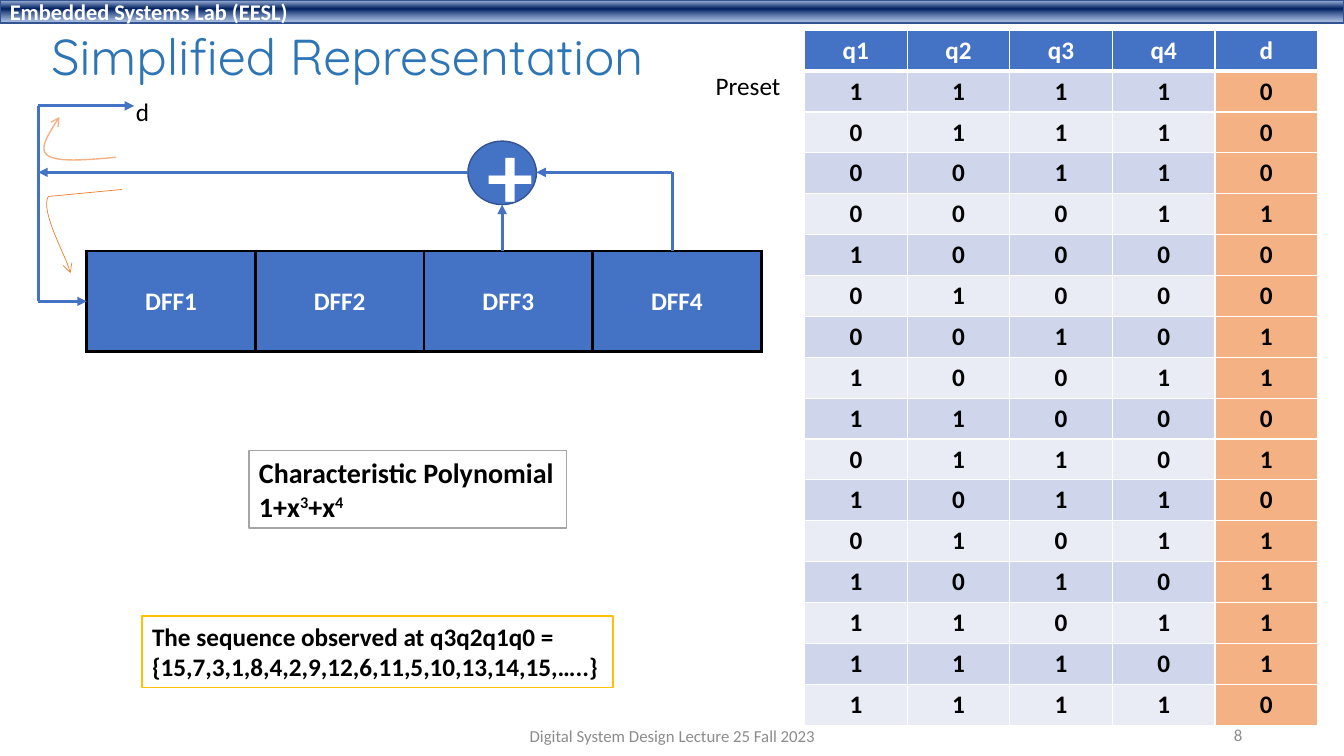
from copy import deepcopy
from dataclasses import dataclass, field
from typing import Any

from lxml import etree
from pptx import Presentation
from pptx import util as u
from pptx.dml.color import RGBColor
from pptx.enum import shapes, text
from pptx.oxml.ns import qn

WHITE = RGBColor(0xFF, 0xFF, 0xFF)
BLACK = RGBColor(0, 0, 0)
BLUE = RGBColor(0x44, 0x72, 0xC4)
EDGE_BLUE = RGBColor(0x32, 0x54, 0x91)
TITLE_BLUE = RGBColor(0x2E, 0x75, 0xB6)
GREY = RGBColor(0x8C, 0x8C, 0x8C)
SILVER = RGBColor(0xA5, 0xA5, 0xA5)
GOLD = RGBColor(0xFF, 0xC0, 0x00)
ORANGE = RGBColor(0xED, 0x7D, 0x31)
PEACH = RGBColor(0xF4, 0xB1, 0x83)
BANDS = (RGBColor(0xCF, 0xD5, 0xEA), RGBColor(0xE9, 0xEB, 0xF5))
BANNER_STOPS = (
    (0.02, RGBColor(0xAB, 0xC0, 0xE4)),
    (0.38, RGBColor(0x00, 0x20, 0x60)),
    (0.93, RGBColor(0x7E, 0x9E, 0xD6)),
)
BANNER_END_ALPHA = 64000

LEFT, CENTER, RIGHT = text.PP_ALIGN.LEFT, text.PP_ALIGN.CENTER, text.PP_ALIGN.RIGHT
TOP, MIDDLE = text.MSO_ANCHOR.TOP, text.MSO_ANCHOR.MIDDLE
RECTANGLE, OVAL = shapes.MSO_SHAPE.RECTANGLE, shapes.MSO_SHAPE.OVAL

Point = tuple[float, float]
Bounds = tuple[float, float, float, float]


@dataclass
class Style:
    size: float = 18
    color: RGBColor = BLACK
    bold: bool = False
    align: Any = LEFT
    anchor: Any = TOP
    wrap: bool = True
    font: str = "Calibri"


@dataclass
class Label:
    bounds: Bounds
    lines: list[str]
    style: Style = field(default_factory=Style)
    preset: Any = None
    fill: RGBColor = WHITE
    edge: RGBColor = EDGE_BLUE


@dataclass
class Wire:
    start: Point
    end: Point
    arrow: bool = True


def write(frame: Any, lines: list[str], style: Style) -> None:
    for index, line in enumerate(lines):
        para = frame.paragraphs[0] if index == 0 else frame.add_paragraph()
        para.alignment = style.align
        for part, piece in enumerate(line.split("^")):
            span = para.add_run()
            span.text = piece
            formats = {"size": u.Pt(style.size), "name": style.font, "bold": style.bold}
            for name, value in formats.items():
                setattr(span.font, name, value)
            span.font.color.rgb = style.color
            if part % 2:
                span.font._element.set("baseline", "30000")


def add_label(page: Any, label: Label) -> Any:
    bounds = [u.Inches(length) for length in label.bounds]
    if label.preset is None:
        box = page.shapes.add_textbox(*bounds)
    else:
        box = page.shapes.add_shape(label.preset, *bounds)
        box.shadow.inherit = False
        box.fill.solid()
        box.fill.fore_color.rgb = label.fill
        box.line.color.rgb = label.edge
        box.line.width = u.Pt(1)
    box.text_frame.word_wrap = label.style.wrap
    box.text_frame.vertical_anchor = label.style.anchor
    write(box.text_frame, label.lines, label.style)
    return box


def add_arrowhead(shape: Any, kind: str) -> None:
    etree.SubElement(shape.line._get_or_add_ln(), qn("a:tailEnd"), type=kind)


def add_wire(page: Any, wire: Wire) -> None:
    ends = [u.Inches(length) for length in wire.start + wire.end]
    line = page.shapes.add_connector(shapes.MSO_CONNECTOR.STRAIGHT, *ends)
    line.line.color.rgb = BLUE
    line.line.width = u.Pt(2.25)
    if wire.arrow:
        add_arrowhead(line, "triangle")
    etree.SubElement(line.element.spPr, qn("a:effectLst"))


def bezier(a: Point, b: Point, c: Point, d: Point, steps: int = 16) -> list[Point]:
    return [
        tuple(
            (1 - t) ** 3 * p + 3 * (1 - t) ** 2 * t * q + 3 * (1 - t) * t**2 * r + t**3 * s
            for p, q, r, s in zip(a, b, c, d)
        )
        for t in (step / steps for step in range(1, steps + 1))
    ]


def add_curve(page: Any, points: list[Point], color: RGBColor, width: float) -> None:
    scaled = [(u.Inches(x), u.Inches(y)) for x, y in points]
    builder = page.shapes.build_freeform(*scaled[0])
    builder.add_line_segments(scaled[1:], close=False)
    curve = builder.convert_to_shape()
    curve.shadow.inherit = False
    curve.fill.background()
    curve.line.color.rgb = color
    curve.line.width = u.Pt(width)
    add_arrowhead(curve, "arrow")


def fill_cell(cell: Any, words: str, style: Style, fill: RGBColor, edges: dict[str, float], edge: RGBColor) -> None:
    write(cell.text_frame, [words], style)
    cell.vertical_anchor = style.anchor
    properties = cell._tc.get_or_add_tcPr()
    for side, width in edges.items():
        line = etree.SubElement(properties, qn(f"a:ln{side}"), w=str(u.Pt(width)))
        solid = etree.SubElement(line, qn("a:solidFill"))
        etree.SubElement(solid, qn("a:srgbClr"), val=str(edge))
    cell.fill.solid()
    cell.fill.fore_color.rgb = fill


def add_grid(page: Any, bounds: Bounds, rows: int, columns: int) -> Any:
    grid = page.shapes.add_table(rows, columns, *(u.Inches(length) for length in bounds)).table
    for row in grid.rows:
        row.height = u.Inches(bounds[3] / rows)
    return grid


def add_banner(page: Any) -> None:
    style = Style(16, WHITE, True, anchor=MIDDLE)
    banner = add_label(page, Label((0, 0, 13.33, 0.23), ["Embedded Systems Lab (EESL)"], style, RECTANGLE))
    banner.fill.gradient()
    banner.fill.gradient_angle = 270
    stops = banner.element.spPr.find(qn("a:gradFill")).find(qn("a:gsLst"))
    stops.append(deepcopy(stops[0]))
    for stop, (position, color) in zip(banner.fill.gradient_stops, BANNER_STOPS):
        stop.position = position
        stop.color.rgb = color
    etree.SubElement(stops[-1][0], qn("a:alpha"), val=str(BANNER_END_ALPHA))


def add_title(page: Any) -> None:
    title = page.shapes.title
    place = dict(zip(("left", "top", "width", "height"), (0.41, 0.15, 7.36, 0.87)))
    for name, value in place.items():
        setattr(title, name, u.Inches(value))
    title.text_frame.vertical_anchor = MIDDLE
    title.text_frame.word_wrap = True
    write(title.text_frame, ["Simplified Representation"], Style(36, TITLE_BLUE, font="Quicksand"))
    title.text_frame.paragraphs[0].line_spacing = 0.9


def add_registers(page: Any) -> None:
    grid = add_grid(page, (0.86, 2.49, 6.69, 1), 1, 4)
    style = Style(18, WHITE, True, CENTER, MIDDLE)
    for index in range(4):
        fill_cell(grid.cell(0, index), f"DFF{index + 1}", style, BLUE, dict.fromkeys("LRTB", 2.25), BLACK)


def add_states(page: Any) -> None:
    grid = add_grid(page, (7.98, 0.3, 5.09, 6.89), 17, 5)
    header = Style(18, WHITE, True, CENTER)
    for column, name in enumerate(("q1", "q2", "q3", "q4", "d")):
        fill_cell(grid.cell(0, column), name, header, BLUE, {"L": 1, "R": 1, "T": 1, "B": 3}, WHITE)
    body = Style(18, BLACK, True, CENTER)
    state = [1, 1, 1, 1]
    for row in range(1, 17):
        feedback = state[2] ^ state[3]
        for column, bit in enumerate(state + [feedback]):
            fill = PEACH if column == 4 else BANDS[(row - 1) % 2]
            edges = {"L": 1, "R": 1, "T": 3 if row == 1 else 1, "B": 1}
            fill_cell(grid.cell(row, column), str(bit), body, fill, edges, WHITE)
        state = [feedback] + state[:3]


WIRES = [
    Wire((4.98, 2.49), (4.98, 2.03)),
    Wire((6.67, 2.49), (6.67, 1.71), False),
    Wire((6.67, 1.71), (5.32, 1.71)),
    Wire((4.64, 1.71), (0.38, 1.71)),
    Wire((0.38, 1.05), (0.38, 2.99), False),
    Wire((0.38, 2.99), (0.86, 2.99)),
    Wire((0.38, 1.05), (1.33, 1.05)),
]
ADDER = Label((4.64, 1.4, 0.68, 0.63), ["+"], Style(66, WHITE, True, CENTER, MIDDLE), OVAL, BLUE)
NOTES = [
    Label((2.47, 4.47, 3.15, 0.77), ["Characteristic Polynomial", "1+x^3^+x^4"],
          Style(20, bold=True, wrap=False), RECTANGLE, edge=SILVER),
    Label((1.41, 6.11, 4.67, 0.71),
          ["The sequence observed at q3q2q1q0 =", "{15,7,3,1,8,4,2,9,12,6,11,5,10,13,14,15,…..}"],
          Style(bold=True, wrap=False), RECTANGLE, edge=GOLD),
    Label((7, 0.65, 0.85, 0.4), ["Preset"], Style(wrap=False)),
    Label((1.25, 0.91, 0.34, 0.4), ["d"], Style(wrap=False)),
    Label((4.42, 7.1, 4.5, 0.4), ["Digital System Design Lecture 25 Fall 2023"], Style(12, GREY, False, CENTER, MIDDLE)),
    Label((9.42, 7.09, 3, 0.4), ["8"], Style(12, GREY, False, RIGHT, MIDDLE)),
]
INPUT_CURVE = [(1.21, 1.88), (0.48, 1.95)] + bezier((0.48, 1.95), (0.39, 2.09), (0.68, 2.59), (0.7, 2.71))
OUTPUT_CURVE = (
    [(1.15, 1.56)]
    + bezier((1.15, 1.56), (0.85, 1.59), (0.56, 1.61), (0.47, 1.54))
    + bezier((0.47, 1.54), (0.38, 1.47), (0.49, 1.32), (0.59, 1.16))
)


def main() -> None:
    deck = Presentation()
    deck.slide_width, deck.slide_height = u.Inches(13.33), u.Inches(7.5)
    page = deck.slides.add_slide(deck.slide_layouts.get_by_name("Title Only"))
    add_banner(page)
    add_title(page)
    add_registers(page)
    add_label(page, ADDER)
    for wire in WIRES:
        add_wire(page, wire)
    add_states(page)
    for note in NOTES:
        add_label(page, note)
    add_curve(page, INPUT_CURVE, ORANGE, 0.5)
    add_curve(page, OUTPUT_CURVE, PEACH, 1)
    deck.save("out.pptx")


if __name__ == "__main__":
    main()
